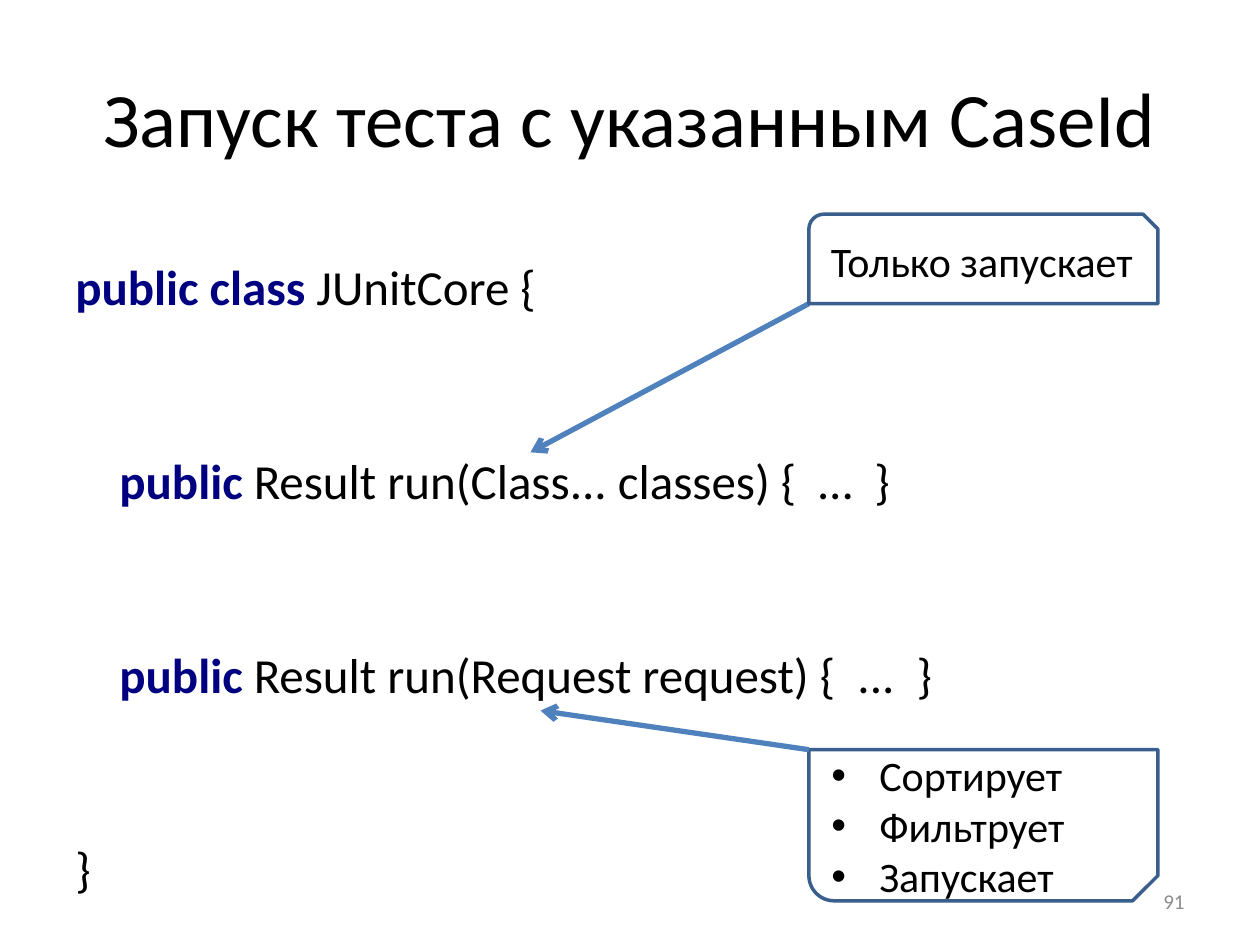
from lxml import etree
from pptx import Presentation
from pptx.dml.color import RGBColor
from pptx.enum.shapes import MSO_CONNECTOR, MSO_SHAPE
from pptx.enum.text import MSO_ANCHOR, PP_ALIGN
from pptx.oxml.ns import qn
from pptx.util import Inches, Pt

COLS, ROWS = 100, 75  # grid of the slide


def rgb(value):
    return RGBColor.from_string(value)


class Deck:
    font, text, keyword, muted = "Calibri", "000000", "000080", "8C8C8C"
    border, arrow_color = "3A5F8C", "4F81BD"

    def __init__(self):
        self.prs = Presentation()
        self.prs.slide_width, self.prs.slide_height = Inches(10), Inches(7.5)
        self.s = self.prs.slides.add_slide(self.prs.slide_layouts[6])

    def grid(self, *cells):
        """Turn alternating columns and rows into lengths."""
        units = self.prs.slide_width / COLS, self.prs.slide_height / ROWS
        return [round(c * units[i % 2]) for i, c in enumerate(cells)]

    def add_runs(self, p, runs, size, color=None, **formats):
        """Fill a paragraph; each run is a text and whether it is a keyword."""
        for name, value in formats.items():
            setattr(p, name, value)
        for words, is_keyword in runs:
            r = p.add_run()
            r.text = words
            style = {"name": self.font, "size": Pt(size), "bold": is_keyword}
            for name, value in style.items():
                setattr(r.font, name, value)
            r.font.color.rgb = rgb(self.keyword if is_keyword else color or self.text)

    def indent(self, p, left, first=0, bullet=None):
        pPr = p._p.get_or_add_pPr()
        pPr.set("marL", str(Inches(left)))
        pPr.set("indent", str(Inches(first)))
        if bullet:
            etree.SubElement(pPr, qn("a:buFont")).set("typeface", "Arial")
            etree.SubElement(pPr, qn("a:buChar")).set("char", bullet)

    def box(self, at, anchor=MSO_ANCHOR.TOP):
        tf = self.s.shapes.add_textbox(*self.grid(*at)).text_frame
        tf.word_wrap, tf.vertical_anchor = True, anchor
        return tf

    def label(self, at, words, size, align, color=None):
        tf = self.box(at, MSO_ANCHOR.MIDDLE)
        self.add_runs(tf.paragraphs[0], [(words, False)], size, color, alignment=align)

    def code(self, at, lines, size):
        tf = self.box(at)
        for i, (left, runs) in enumerate(lines):
            p = tf.add_paragraph() if i else tf.paragraphs[0]
            self.add_runs(p, runs, size, line_spacing=1.5,
                          space_before=Pt(60.5 if i else 0))
            self.indent(p, left)

    def bullets(self, at, items, size):
        tf = self.box(at)
        for i, item in enumerate(items):
            p = tf.add_paragraph() if i else tf.paragraphs[0]
            self.add_runs(p, [(item, False)], size)
            self.indent(p, 0.38, -0.38, "•")

    def callout(self, at, words=None, flip=False):
        sp = self.s.shapes.add_shape(MSO_SHAPE.SNIP_ROUND_RECTANGLE, *self.grid(*at))
        sp.shadow.inherit = False
        sp.fill.background()
        sp.line.color.rgb, sp.line.width = rgb(self.border), Pt(2)
        if flip:
            sp.element.spPr.find(qn("a:xfrm")).set("flipV", "1")
        if words:
            sp.text_frame.vertical_anchor = MSO_ANCHOR.MIDDLE
            self.add_runs(sp.text_frame.paragraphs[0], [(words, False)], 24,
                          alignment=PP_ALIGN.CENTER)

    def arrow(self, *ends):
        cn = self.s.shapes.add_connector(MSO_CONNECTOR.STRAIGHT, *self.grid(*ends))
        cn.line.color.rgb, cn.line.width = rgb(self.arrow_color), Pt(3)
        spPr = cn.element.spPr
        etree.SubElement(spPr.find(qn("a:ln")), qn("a:tailEnd")).set("type", "arrow")
        etree.SubElement(spPr, qn("a:effectLst"))


def main():
    deck = Deck()
    left, width = 64.2, 27.7  # shared by both callouts
    top_bottom, low_top = 24.1, 59.5  # callout edges where the arrows start

    # Title and slide number
    deck.label((5, 3, 90, 12.5), "Запуск теста с указанным CaseId", 44, PP_ALIGN.CENTER)
    deck.label((71.7, 69.5, 23.3, 4), "91", 12, PP_ALIGN.RIGHT, deck.muted)

    # Code listing: indent and runs of each line
    deck.code((5, 17.5, 90, 56), [
        (0, [("public class ", True), ("JUnitCore {", False)]),
        (0.35, [("public ", True), ("Result run(Class... classes) {  …  }", False)]),
        (0.35, [("public ", True), ("Result run(Request request) {  ...  }", False)]),
        (0, [("}", False)]),
    ], 28)

    # Upper callout
    deck.arrow(left, top_bottom, 42.1, 35.9)
    deck.callout((left, 17, width, top_bottom - 17), "Только запускает")

    # Lower callout
    deck.callout((left, low_top, width, 12), flip=True)
    deck.bullets((65, 59, 23.5, 13.1), ["Сортирует", "Фильтрует", "Запускает"], 24)
    deck.arrow(left, low_top, 42.9, 56.4)

    deck.prs.save("out.pptx")


if __name__ == "__main__":
    main()
